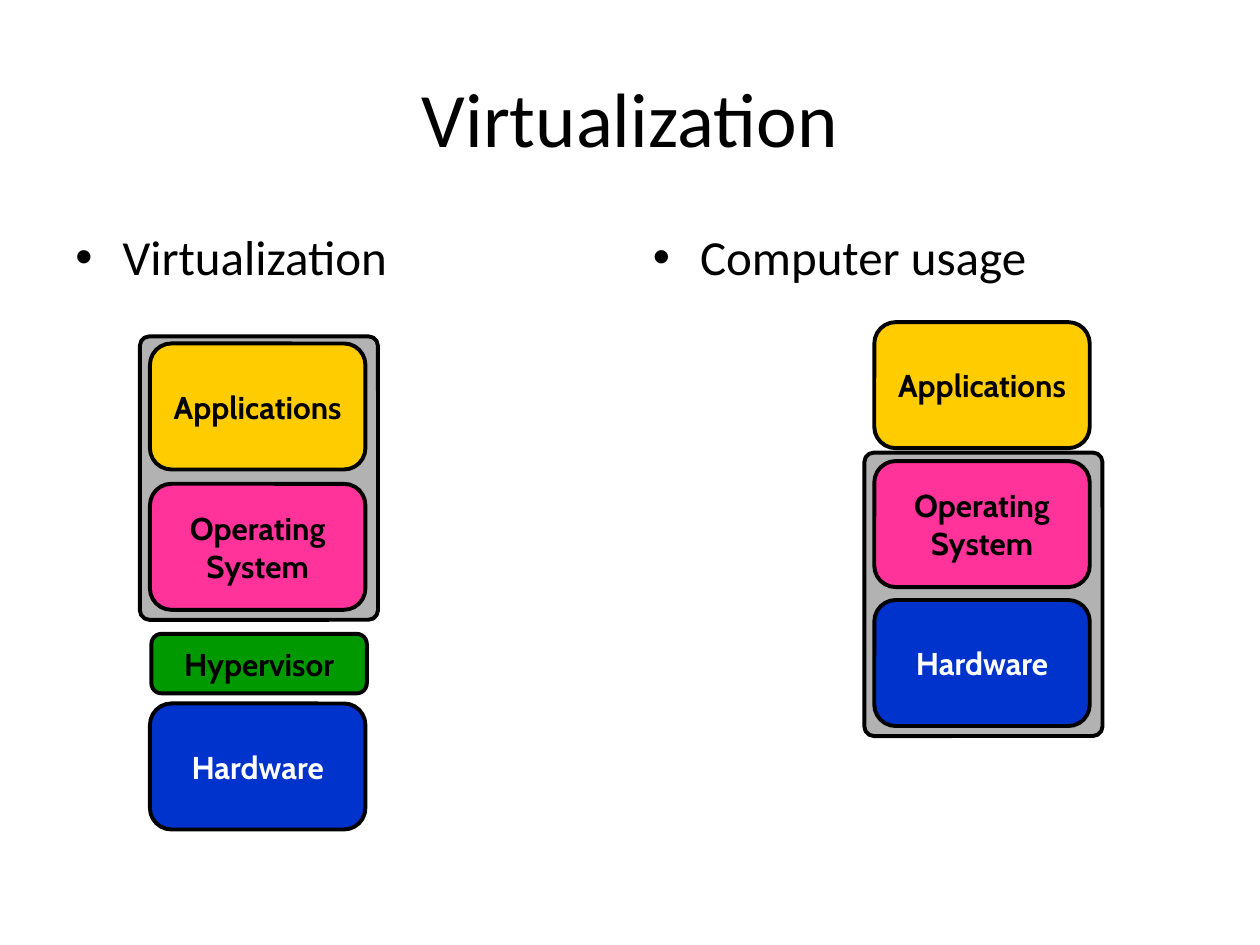
from dataclasses import dataclass

from lxml import etree
from pptx import Presentation
from pptx.dml.color import RGBColor
from pptx.enum.shapes import MSO_SHAPE
from pptx.enum.text import MSO_ANCHOR, PP_ALIGN
from pptx.oxml.ns import qn
from pptx.util import Pt

ROUNDED = MSO_SHAPE.ROUNDED_RECTANGLE
MIDDLE = MSO_ANCHOR.MIDDLE
CENTER = PP_ALIGN.CENTER


@dataclass(frozen=True)
class Theme:
    """Colours, fonts and type sizes of the slide."""

    black: str = "000000"
    white: str = "FFFFFF"
    frame: str = "B2B2B2"
    hardware: str = "0033CC"
    system: str = "FF3399"
    applications: str = "FFCC00"
    hypervisor: str = "009900"
    body_font: str = "Calibri"
    label_font: str = "Cabin"
    title_size: float = 44
    bullet_size: float = 28
    label_size: float = 18
    outline: float = 2.25


THEME = Theme()
LAYER_WIDTH, LAYER_HEIGHT = 123.1, 72
LAYERS = {
    "Applications": (THEME.applications, THEME.black),
    "Operating\nSystem": (THEME.system, THEME.black),
    "Hypervisor": (THEME.hypervisor, THEME.black),
    "Hardware": (THEME.hardware, THEME.white),
}


def set_font(paragraph, name, size, color, bold=False):
    """Format all text of a paragraph."""
    font = paragraph.font
    font.name, font.size, font.bold = name, Pt(size), bold
    font.color.rgb = RGBColor.from_string(color)


def place_title(slide, text):
    """Move, fill and format the title placeholder."""
    title = slide.shapes.title
    title.left, title.top, title.width, title.height = Pt(36), Pt(21.6), Pt(648), Pt(90)
    title.text_frame.text = text
    title.text_frame.vertical_anchor = MIDDLE
    paragraph = title.text_frame.paragraphs[0]
    paragraph.alignment = CENTER
    set_font(paragraph, THEME.body_font, THEME.title_size, THEME.black)


def add_bullet(slide, text, left):
    """Add a column heading with a bullet and hanging indent."""
    box = slide.shapes.add_textbox(Pt(left), Pt(126), Pt(318), Pt(356.4))
    box.text_frame.word_wrap = True
    paragraph = box.text_frame.paragraphs[0]
    paragraph.text = text
    properties = paragraph._p.get_or_add_pPr()
    properties.set("marL", str(Pt(27)))
    properties.set("indent", str(-Pt(27)))
    etree.SubElement(properties, qn("a:buFont"), typeface="Arial")
    etree.SubElement(properties, qn("a:buChar"), char="•")
    set_font(paragraph, THEME.body_font, THEME.bullet_size, THEME.black)


def add_rounded(slide, left, top, width, height, fill, rounding):
    """Add an outlined rounded rectangle."""
    shape = slide.shapes.add_shape(ROUNDED, Pt(left), Pt(top), Pt(width), Pt(height))
    shape.adjustments[0] = rounding
    shape.shadow.inherit = False
    shape.fill.solid()
    shape.fill.fore_color.rgb = RGBColor.from_string(fill)
    shape.line.color.rgb = RGBColor.from_string(THEME.black)
    shape.line.width = Pt(THEME.outline)
    return shape


def add_frame(slide, left, top):
    """Add the grey frame that holds two layers."""
    add_rounded(slide, left, top, 136.1, 162, THEME.frame, 0.04)


def add_layer(slide, label, left, top, height=LAYER_HEIGHT):
    """Add one labelled layer of a stack."""
    fill, color = LAYERS[label]
    shape = add_rounded(slide, left, top, LAYER_WIDTH, height, fill, 0.17)
    text_frame = shape.text_frame
    text_frame.word_wrap = False
    text_frame.vertical_anchor = MIDDLE
    text_frame.text = label
    for paragraph in text_frame.paragraphs:
        paragraph.alignment = CENTER
        set_font(paragraph, THEME.label_font, THEME.label_size, color, bold=True)


def add_virtualized_stack(slide):
    """Add the stack whose system runs on a hypervisor."""
    left = 85.7
    add_frame(slide, 79.9, 192.2)
    add_layer(slide, "Hardware", left, 402)
    add_layer(slide, "Operating\nSystem", left, 276.5)
    add_layer(slide, "Applications", left, 196.3)
    add_layer(slide, "Hypervisor", left + 0.8, 362.2, 34)


def add_plain_stack(slide):
    """Add the evenly spaced stack of an ordinary computer."""
    left, top, pitch = 499.6, 184.1, 79.4
    add_frame(slide, 493.9, 258.6)
    for index, label in enumerate(("Applications", "Operating\nSystem", "Hardware")):
        add_layer(slide, label, left, top + index * pitch)


def main():
    """Build and save the slide."""
    presentation = Presentation()
    presentation.slide_width, presentation.slide_height = Pt(720), Pt(540)
    slide = presentation.slides.add_slide(presentation.slide_layouts[5])
    place_title(slide, "Virtualization")
    add_bullet(slide, "Virtualization", 36)
    add_bullet(slide, "Computer usage", 366)
    add_virtualized_stack(slide)
    add_plain_stack(slide)
    presentation.save("out.pptx")


if __name__ == "__main__":
    main()
